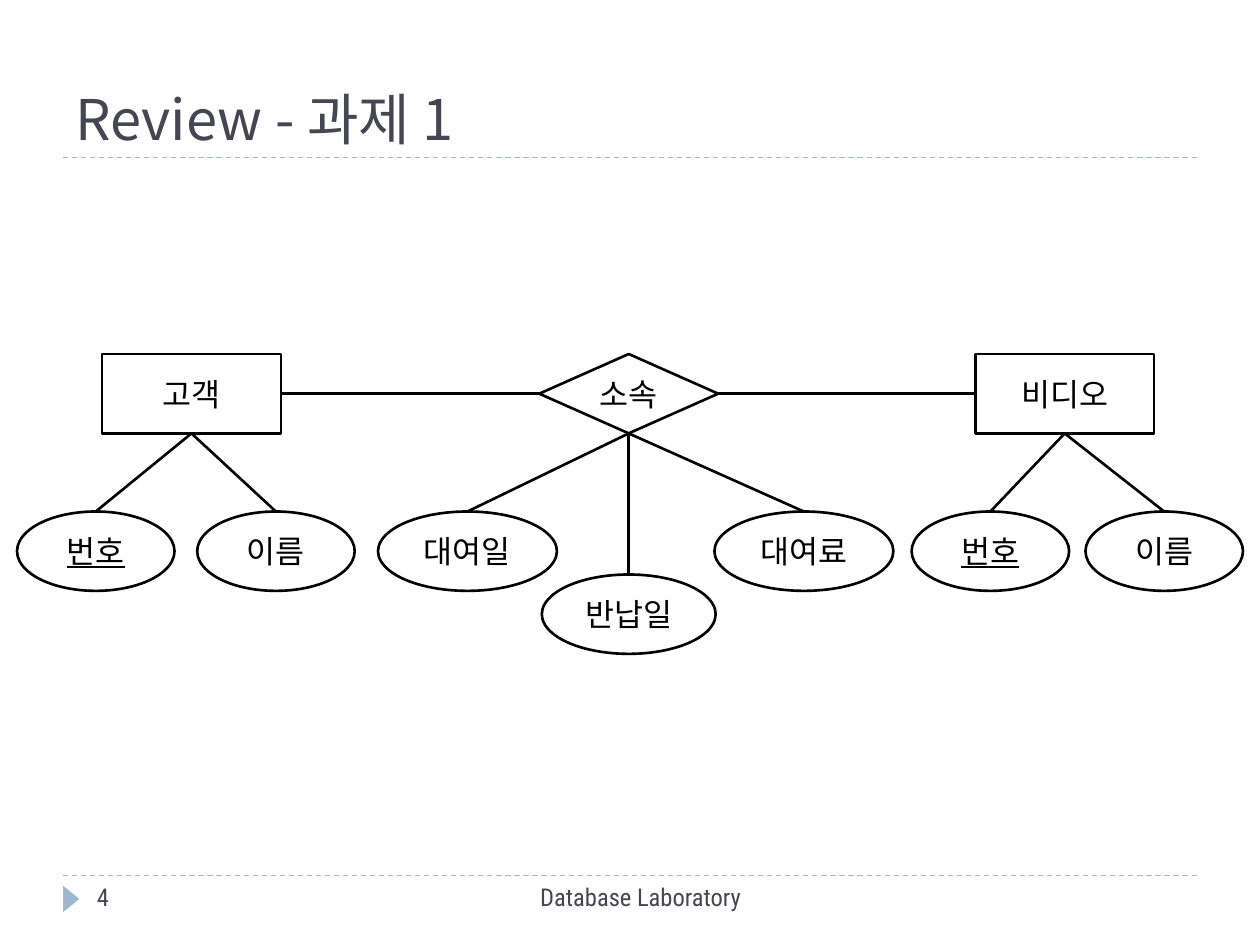
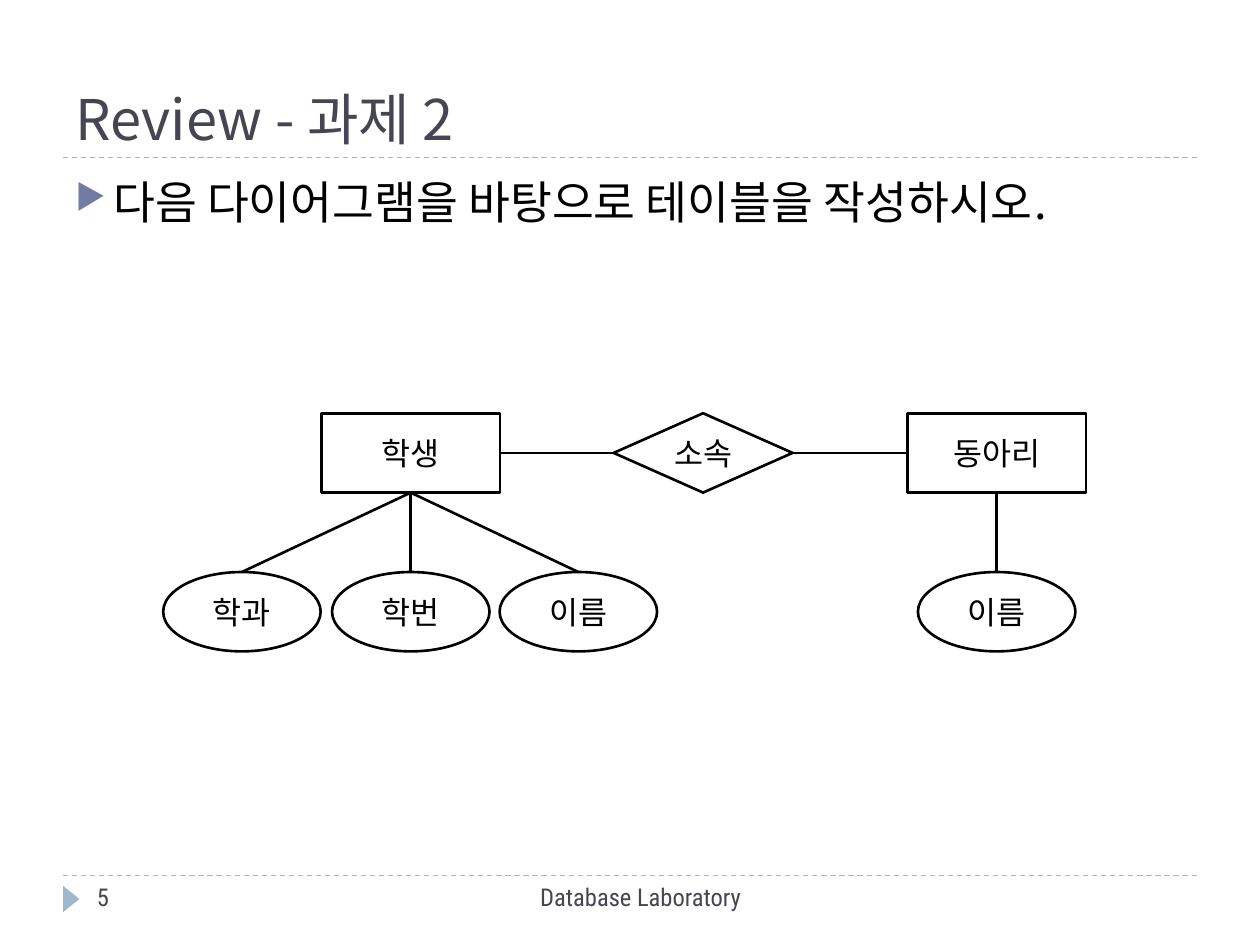
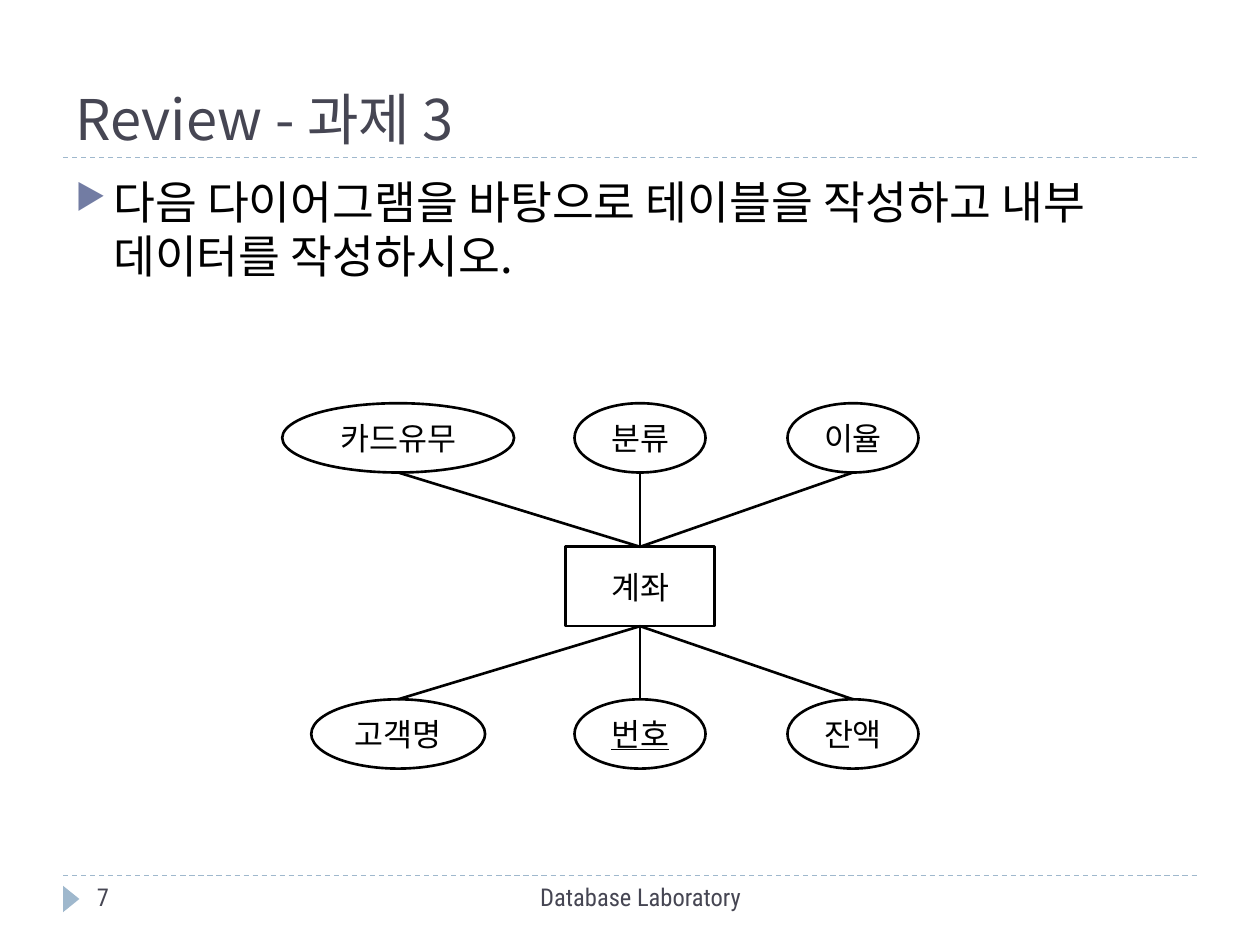
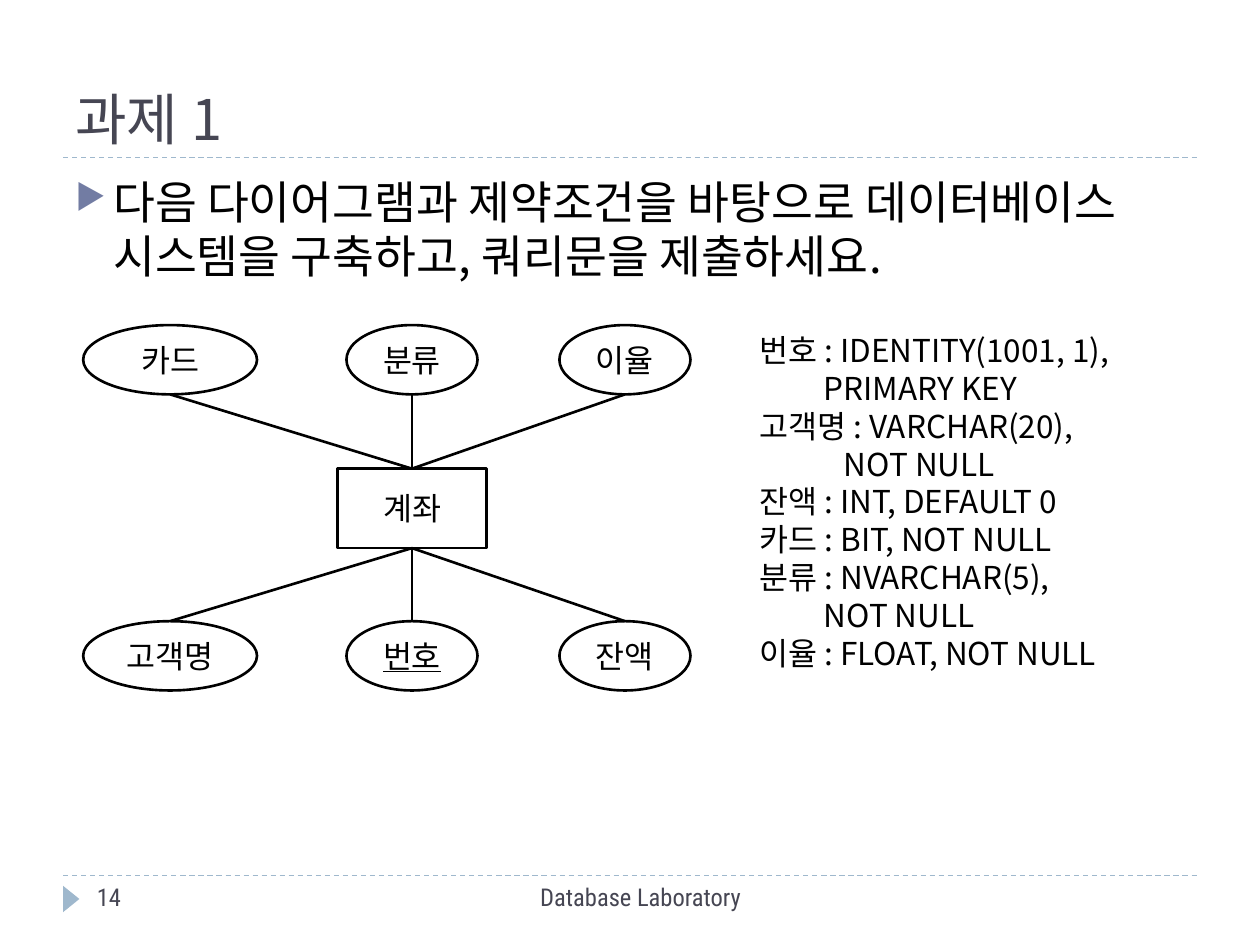
from pptx import Presentation
from pptx.dml.color import RGBColor
from pptx.enum.dml import MSO_LINE
from pptx.enum.shapes import MSO_CONNECTOR, MSO_SHAPE
from pptx.enum.text import MSO_ANCHOR, PP_ALIGN
from pptx.oxml.ns import qn
from pptx.util import Pt
from lxml.etree import SubElement

PX = 9144
INK, SLATE, MIST, BULLET, PAPER = "000000", "464653", "9FB8CD", "727CA3", "FFFFFF"
KOREAN, DIAGRAM, FOOTER = "Noto Sans CJK KR", "Cabin", "Roboto Condensed"
ENTITY, RELATION, ATTRIBUTE = MSO_SHAPE.RECTANGLE, MSO_SHAPE.DIAMOND, MSO_SHAPE.OVAL


def px(length):
    """Turn px (100 to the inch) into EMU."""
    return round(length * PX)


def color(code):
    """Turn a hex string into a colour."""
    return RGBColor.from_string(code)


class Node:
    """A diagram node with its anchor points in px."""

    def __init__(self, center, top, width, height):
        """Work out the four anchor points."""
        middle, half = top + height / 2, width / 2
        self.top = (center, top)
        self.bottom = (center, top + height)
        self.left = (center - half, middle)
        self.right = (center + half, middle)


class Deck:
    """The shared style and the current slide."""

    def __init__(self):
        """Start an empty 10 by 7.5 inch deck."""
        self.deck = Presentation()
        self.deck.slide_width, self.deck.slide_height = px(1000), px(750)
        self.slide = None

    def page(self, title, number):
        """Add a slide with title, rules and footer."""
        self.slide = self.deck.slides.add_slide(self.deck.slide_layouts[6])
        for height in (695, 125):
            self.line((50, height), (950, height), MIST, 0.75, MSO_LINE.DASH)
        marker = self.shape(MSO_SHAPE.ISOSCELES_TRIANGLE, 46, 707, 21, 13, MIST)
        marker.rotation = 90
        self.text([title], 50, 17, 900, 108, 32, SLATE, anchor=MSO_ANCHOR.BOTTOM)
        self.text(["Database Laboratory"], 317, 695, 383, 40, 14, SLATE, FOOTER,
                  PP_ALIGN.CENTER)
        self.text([str(number)], 67, 695, 217, 40, 14, SLATE, FOOTER)

    def run(self, paragraph, words, size, ink, font, underline=False):
        """Add one styled run."""
        run = paragraph.add_run()
        run.text = words
        run.font.size, run.font.name = Pt(size), font
        run.font.color.rgb = color(ink)
        if underline:
            run.font.underline = True
        SubElement(run.font._element, qn("a:ea")).set("typeface", font)

    def text(self, lines, left, top, width, height, size, ink=INK, font=KOREAN,
             align=PP_ALIGN.LEFT, anchor=MSO_ANCHOR.TOP, indents=None):
        """Add a text box with one paragraph a line and return its frame."""
        box = self.slide.shapes.add_textbox(px(left), px(top), px(width), px(height))
        frame = box.text_frame
        frame.word_wrap, frame.vertical_anchor = True, anchor
        for index, words in enumerate(lines):
            paragraph = frame.add_paragraph() if index else frame.paragraphs[0]
            paragraph.alignment = align
            if font == KOREAN:
                paragraph.line_spacing = Pt(size * 1.2)
            if indents and indents[index]:
                paragraph._p.get_or_add_pPr().set("marL", str(px(indents[index])))
            self.run(paragraph, words, size, ink, font)
        return frame

    def task(self, words):
        """Add the bulleted task statement."""
        frame = self.text([words], 50, 133, 900, 540, 26)
        properties = frame.paragraphs[0]._p.get_or_add_pPr()
        properties.set("marL", str(px(30)))
        properties.set("indent", str(px(-30)))
        tint = SubElement(properties, qn("a:buClr"))
        SubElement(tint, qn("a:srgbClr")).set("val", BULLET)
        SubElement(properties, qn("a:buSzPct")).set("val", "76000")
        SubElement(properties, qn("a:buChar")).set("char", "▶")

    def shape(self, kind, left, top, width, height, fill, outline=None):
        """Add a flat preset shape."""
        shape = self.slide.shapes.add_shape(kind, px(left), px(top), px(width), px(height))
        shape.shadow.inherit = False
        shape.fill.solid()
        shape.fill.fore_color.rgb = color(fill)
        if outline:
            shape.line.color.rgb = color(outline)
            shape.line.width = Pt(1.5)
        else:
            shape.line.fill.background()
        return shape

    def node(self, kind, words, center, top, width=142, height=63, key=False):
        """Add a labelled diagram node, underlined when it is a key."""
        shape = self.shape(kind, center - width / 2, top, width, height, PAPER, INK)
        frame = shape.text_frame
        frame.word_wrap, frame.vertical_anchor = False, MSO_ANCHOR.MIDDLE
        frame.paragraphs[0].alignment = PP_ALIGN.CENTER
        self.run(frame.paragraphs[0], words, 18, INK, DIAGRAM, key)
        return Node(center, top, width, height)

    def line(self, start, end, ink=INK, width=1.5, dash=None):
        """Add a straight line between two points."""
        line = self.slide.shapes.add_connector(
            MSO_CONNECTOR.STRAIGHT, *(px(value) for value in (*start, *end)))
        line.line.color.rgb = color(ink)
        line.line.width = Pt(width)
        if dash:
            line.line.dash_style = dash
        SubElement(line._element.spPr, qn("a:effectLst"))

    def attributes(self, owner, top, items):
        """Hang attributes below their owner."""
        for words, center, width in items:
            attribute = self.node(ATTRIBUTE, words, center, top, width, key=words == "번호")
            self.line(owner.bottom, attribute.top)

    def relation(self, names, centers, top):
        """Add two entities joined by a relation and return all three."""
        kinds = (ENTITY, RELATION, ENTITY)
        nodes = [self.node(*parts, top) for parts in zip(kinds, names, centers)]
        for before, after in zip(nodes, nodes[1:]):
            self.line(before.right, after.left)
        return nodes

    def account(self, center, top, card, card_width):
        """Add the account entity between two rows of attributes."""
        account = self.node(ENTITY, "계좌", center, top + 114, 118)
        centers = (center - 192, center, center + 169)
        upper = zip((card, "분류", "이율"), centers, (card_width, 104, 104))
        lower = zip(("고객명", "번호", "잔액"), centers, (138, 104, 104))
        for words, middle, width in upper:
            attribute = self.node(ATTRIBUTE, words, middle, top, width, 55)
            self.line(attribute.bottom, account.top)
        for words, middle, width in lower:
            attribute = self.node(ATTRIBUTE, words, middle, top + 235, width, 55,
                                  words == "번호")
            self.line(attribute.top, account.bottom)


def main():
    """Build the four slides."""
    deck = Deck()

    deck.page("Review - 과제 1", 4)
    customer, rental, video = deck.relation(("고객", "소속", "비디오"), (152, 499, 845), 281)
    deck.attributes(customer, 406, [("번호", 76, 125), ("이름", 219, 125)])
    deck.attributes(video, 406, [("번호", 786, 125), ("이름", 924, 125)])
    deck.attributes(rental, 406, [("대여일", 371, 142), ("대여료", 638, 142)])
    deck.attributes(rental, 456, [("반납일", 499, 138)])

    deck.page("Review - 과제 2", 5)
    deck.task("다음 다이어그램을 바탕으로 테이블을 작성하시오.")
    student, _, club = deck.relation(("학생", "소속", "동아리"), (326, 558, 791), 328)
    deck.attributes(student, 454, [("학과", 192, 125), ("학번", 326, 125), ("이름", 459, 125)])
    deck.attributes(club, 454, [("이름", 791, 125)])

    deck.page("Review - 과제 3", 7)
    deck.task("다음 다이어그램을 바탕으로 테이블을 작성하고 내부 데이터를 작성하시오.")
    deck.account(508, 320, "카드유무", 184)

    deck.page("과제 1", 14)
    deck.task("다음 다이어그램과 제약조건을 바탕으로 데이터베이스 시스템을 구축하고, "
              "쿼리문을 제출하세요.")
    deck.account(327, 258, "카드", 138)
    constraints = [
        ("번호 : IDENTITY(1001, 1),", 0),
        ("PRIMARY KEY", 51),
        ("고객명 : VARCHAR(20),", 0),
        ("NOT NULL", 67),
        ("잔액 : INT, DEFAULT 0", 0),
        ("카드 : BIT, NOT NULL", 0),
        ("분류 : NVARCHAR(5),", 0),
        ("NOT NULL", 51),
        ("이율 : FLOAT, NOT NULL", 0),
    ]
    lines, indents = zip(*constraints)
    deck.text(lines, 593, 258, 357, 283, 18, indents=indents)

    deck.deck.save("out.pptx")


if __name__ == "__main__":
    main()
